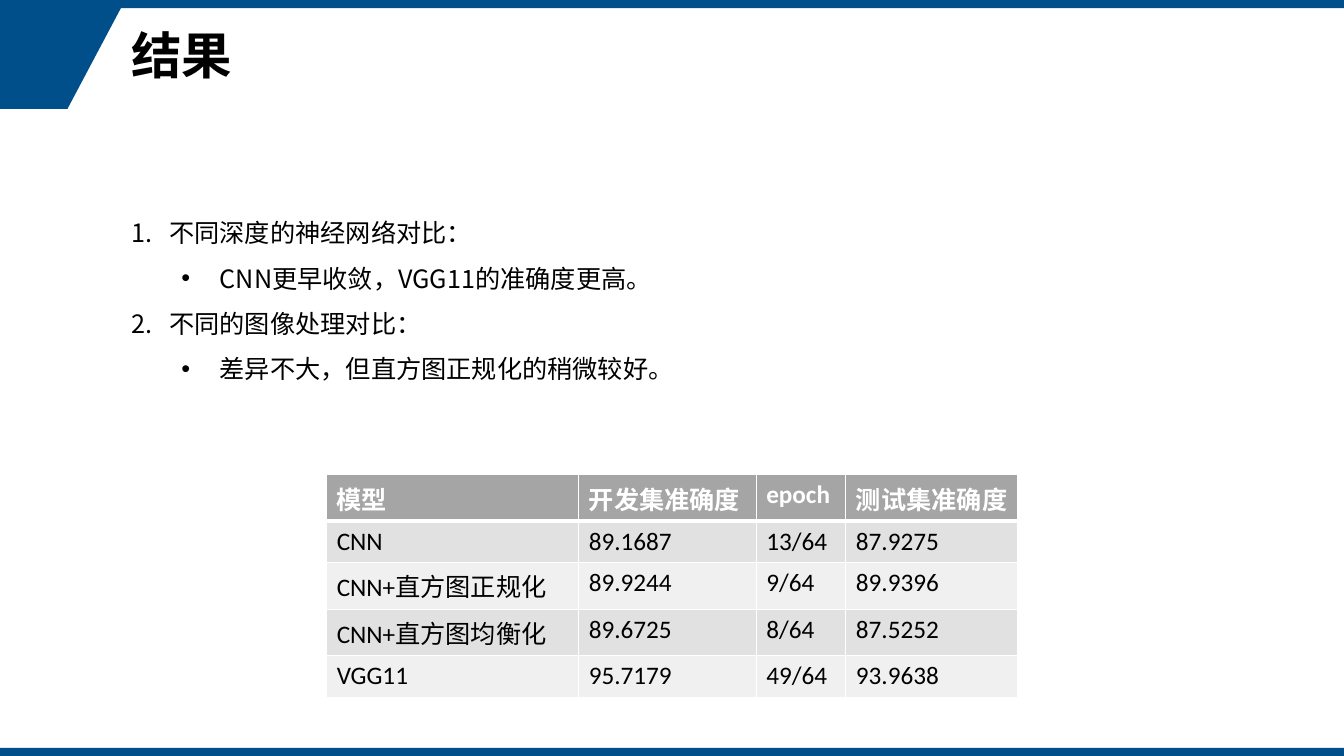
from lxml import etree
from pptx import Presentation
from pptx.dml.color import RGBColor
from pptx.enum import shapes as s, text as t
from pptx.oxml import ns
from pptx.util import Inches, Pt

BLUE = RGBColor(0x00, 0x4F, 0x8A)
BLACK = RGBColor(0x00, 0x00, 0x00)
WHITE = RGBColor(0xFF, 0xFF, 0xFF)
HEADER_GRAY = RGBColor(0xA5, 0xA5, 0xA5)
BAND_GRAYS = (RGBColor(0xE1, 0xE1, 0xE1), RGBColor(0xF0, 0xF0, 0xF0))
CJK_FONT = "Noto Sans CJK SC"
SLIDE_WIDTH, SLIDE_HEIGHT, BAR_HEIGHT = 13.33, 7.5, 0.08

FINDINGS = [
    (0, "不同深度的神经网络对比："),
    (1, "CNN更早收敛，VGG11的准确度更高。"),
    (0, "不同的图像处理对比："),
    (1, "差异不大，但直方图正规化的稍微较好。"),
]
RESULTS = [
    ("模型", "开发集准确度", "epoch", "测试集准确度"),
    ("CNN", "89.1687", "13/64", "87.9275"),
    ("CNN+直方图正规化", "89.9244", "9/64", "89.9396"),
    ("CNN+直方图均衡化", "89.6725", "8/64", "87.5252"),
    ("VGG11", "95.7179", "49/64", "93.9638"),
]
COLUMN_WIDTHS = (2.5, 1.76, 0.89, 1.7)
ROW_HEIGHT = 0.41


def apply_format(target, values):
    for name, value in values.items():
        setattr(target, name, value)


def place(shape, left, top, width, height):
    apply_format(shape, {"left": Inches(left), "top": Inches(top),
                         "width": Inches(width), "height": Inches(height)})


def format_font(paragraph, name, size, color, bold=False):
    for run in paragraph.runs:
        apply_format(run.font, {"name": name, "size": Pt(size), "bold": bold})
        run.font.color.rgb = color
        if name == CJK_FONT:
            east_asian = etree.SubElement(run.font._element, ns.qn("a:ea"))
            east_asian.set("typeface", name)


def paint(shape):
    shape.shadow.inherit = False
    shape.fill.solid()
    shape.fill.fore_color.rgb = BLUE
    shape.line.fill.background()


def add_bar(slide, top):
    bar = slide.shapes.add_shape(
        s.MSO_SHAPE.RECTANGLE, 0, Inches(top), Inches(SLIDE_WIDTH), Inches(BAR_HEIGHT))
    paint(bar)


def add_corner(slide):
    builder = slide.shapes.build_freeform(0, Inches(BAR_HEIGHT))
    points = [(1.2, 0.08), (0.67, 1.08), (0, 1.08)]
    builder.add_line_segments([(Inches(x), Inches(y)) for x, y in points])
    paint(builder.convert_to_shape())


def fill_title(title, words):
    place(title, 1.2, 0.08, 11.22, 1)
    title.text_frame.text = words
    apply_format(title.text_frame, {"vertical_anchor": t.MSO_ANCHOR.MIDDLE,
                                    "auto_size": t.MSO_AUTO_SIZE.NONE})
    paragraph = title.text_frame.paragraphs[0]
    apply_format(paragraph, {"alignment": t.PP_ALIGN.LEFT, "line_spacing": 0.9})
    format_font(paragraph, CJK_FONT, 36, BLACK, True)


def set_marker(paragraph, level):
    properties = paragraph._p.get_or_add_pPr()
    properties.set("marL", str(Inches(0.38 + 0.5 * level)))
    properties.set("indent", str(Inches(-0.38)))
    if level:
        font = etree.SubElement(properties, ns.qn("a:buFont"))
        font.set("typeface", "Arial")
        etree.SubElement(properties, ns.qn("a:buChar")).set("char", "•")
    else:
        font = etree.SubElement(properties, ns.qn("a:buFont"))
        font.set("typeface", "+mj-lt")
        etree.SubElement(properties, ns.qn("a:buAutoNum")).set("type", "arabicPeriod")


def fill_findings(body):
    place(body, 1.2, 1.96, 11.36, 1.88)
    frame = body.text_frame
    frame.text = "\n".join(words for level, words in FINDINGS)
    apply_format(frame, {"vertical_anchor": t.MSO_ANCHOR.TOP, "word_wrap": True,
                         "auto_size": t.MSO_AUTO_SIZE.NONE})
    for paragraph, (level, words) in zip(frame.paragraphs, FINDINGS):
        set_marker(paragraph, level)
        apply_format(paragraph, {"level": level, "line_spacing": 1.5,
                                 "space_before": Pt(0), "space_after": Pt(0)})
        format_font(paragraph, CJK_FONT, 18, BLACK)


def set_borders(cell, is_header):
    properties = cell._tc.get_or_add_tcPr()
    for index, side in enumerate(("lnL", "lnR", "lnT", "lnB")):
        width = 3 if is_header and side == "lnB" else 1
        line = etree.Element(ns.qn(f"a:{side}"), w=str(Pt(width)))
        fill = etree.SubElement(line, ns.qn("a:solidFill"))
        etree.SubElement(fill, ns.qn("a:srgbClr")).set("val", str(WHITE))
        properties.insert(index, line)


def add_results(slide):
    table = slide.shapes.add_table(
        len(RESULTS), len(COLUMN_WIDTHS), Inches(3.24), Inches(4.71),
        Inches(sum(COLUMN_WIDTHS)), Inches(ROW_HEIGHT * len(RESULTS))).table
    for column, width in zip(table.columns, COLUMN_WIDTHS):
        column.width = Inches(width)
    for row_index, values in enumerate(RESULTS):
        is_header = row_index == 0
        table.rows[row_index].height = Inches(ROW_HEIGHT)
        for column_index, value in enumerate(values):
            cell = table.cell(row_index, column_index)
            cell.text = value
            cell.fill.solid()
            cell.fill.fore_color.rgb = (
                HEADER_GRAY if is_header else BAND_GRAYS[(row_index - 1) % 2])
            set_borders(cell, is_header)
            format_font(cell.text_frame.paragraphs[0], "Calibri", 18,
                        WHITE if is_header else BLACK, is_header)


def main():
    """Build the results slide and save it."""
    presentation = Presentation()
    apply_format(presentation, {"slide_width": Inches(SLIDE_WIDTH),
                                "slide_height": Inches(SLIDE_HEIGHT)})
    slide = presentation.slides.add_slide(presentation.slide_layouts[1])
    add_bar(slide, SLIDE_HEIGHT - BAR_HEIGHT)
    add_corner(slide)
    add_bar(slide, 0)
    fill_title(slide.shapes.title, "结果")
    fill_findings(slide.placeholders[1])
    add_results(slide)
    presentation.save("out.pptx")


if __name__ == "__main__":
    main()
